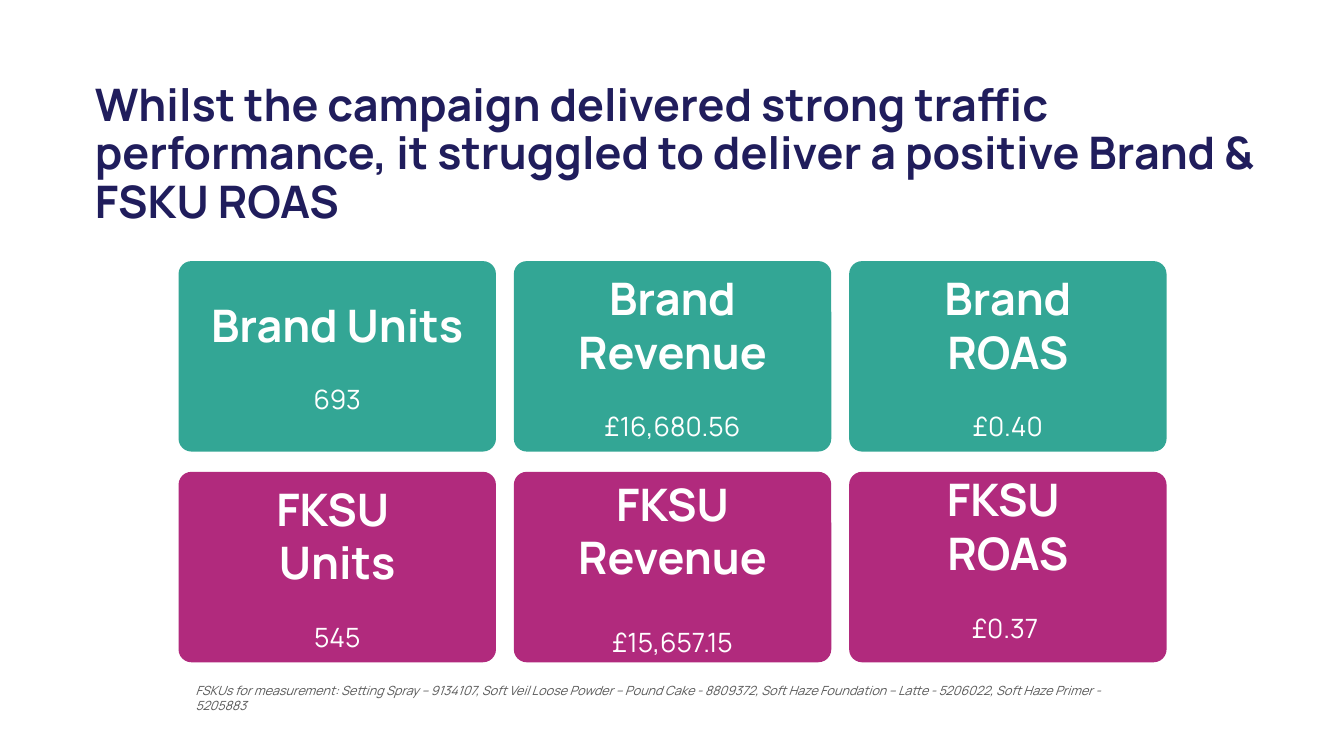
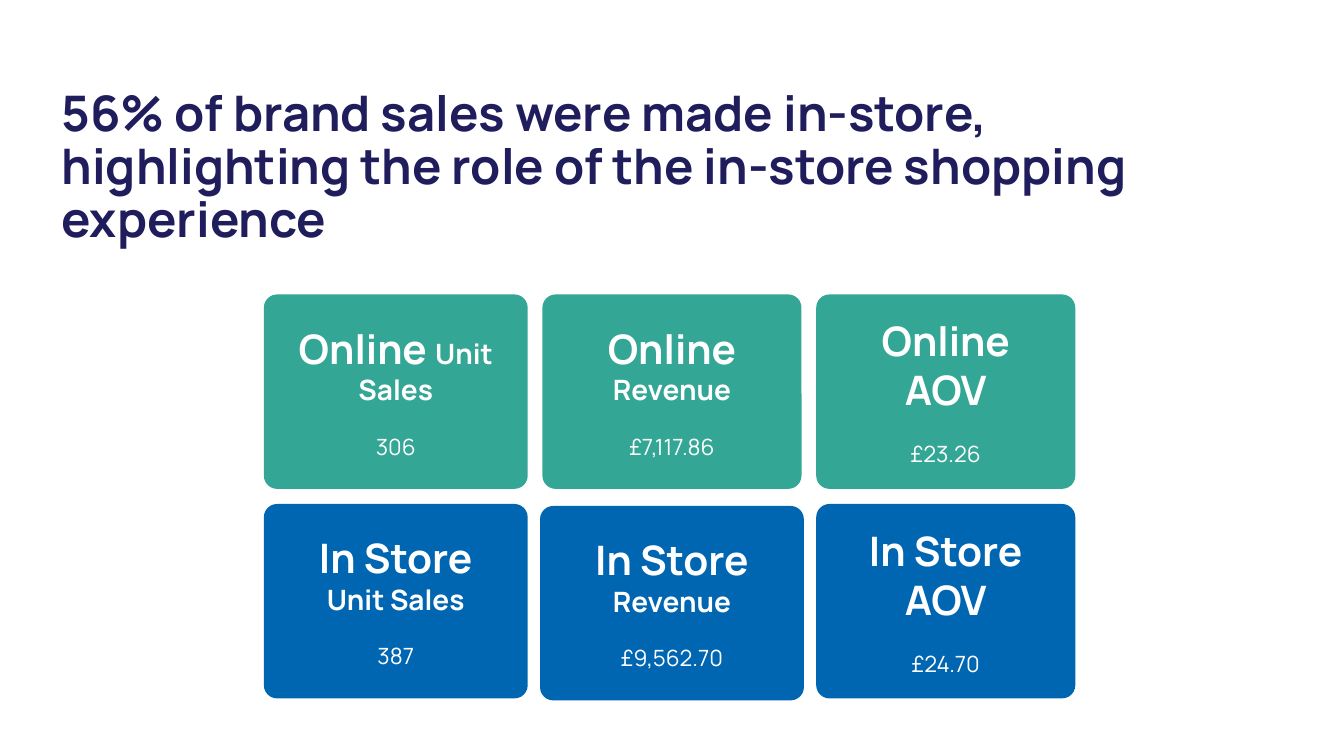
from dataclasses import dataclass

from pptx import Presentation
from pptx.dml.color import RGBColor
from pptx.enum.shapes import MSO_SHAPE
from pptx.enum.text import MSO_ANCHOR, PP_ALIGN
from pptx.util import Cm, Pt

# Shared style
FONT = "Manrope"
NAVY = RGBColor(0x20, 0x1D, 0x5C)
TEAL = RGBColor(0x33, 0xA6, 0x95)
MAGENTA = RGBColor(0xB1, 0x2A, 0x7D)
BLUE = RGBColor(0x00, 0x66, 0xB2)
GREY = RGBColor(0x59, 0x59, 0x59)
WHITE = RGBColor(0xFF, 0xFF, 0xFF)
CORNER = 0.068
LINE_HEIGHT = 1.2


@dataclass(frozen=True)
class Span:
    text: str
    size: float


@dataclass(frozen=True)
class Card:
    heading: tuple[tuple[Span, ...], ...]  # paragraphs of spans
    value: str
    extra_gap: float = 0  # points above the value
    extra_bottom: float = 0  # cm of bottom inset
    widen: float = 0  # cm, shared by both sides
    lower: float = 0  # cm


@dataclass(frozen=True)
class Grid:
    left: float
    top: float
    widths: tuple[float, ...]
    height: float
    column_gap: float
    row_gap: float
    value_size: float


@dataclass(frozen=True)
class Title:
    text: str
    size: float
    left: float
    top: float
    width: float
    height: float


def add_span(para, text: str, size: float, color: RGBColor,
             bold: bool = False, italic: bool = False) -> None:
    span = para.add_run()
    span.text = text
    font = span.font
    font.name, font.size, font.bold, font.italic = FONT, Pt(size), bold, italic
    font.color.rgb = color


def set_insets(frame, side: float, top: float, bottom: float) -> None:
    frame.word_wrap = True
    frame.margin_left = frame.margin_right = Cm(side)
    frame.margin_top, frame.margin_bottom = Cm(top), Cm(bottom)


def add_title(page, title: Title) -> None:
    box = page.shapes.add_textbox(Cm(title.left), Cm(title.top),
                                  Cm(title.width), Cm(title.height))
    set_insets(box.text_frame, 0, 0, 0)
    para = box.text_frame.paragraphs[0]
    para.line_spacing = 0.9
    add_span(para, title.text, title.size, NAVY, bold=True)


def add_card(page, card: Card, left: float, top: float, width: float,
             height: float, fill: RGBColor, value_size: float) -> None:
    box = page.shapes.add_shape(
        MSO_SHAPE.ROUNDED_RECTANGLE, Cm(left - card.widen / 2),
        Cm(top + card.lower), Cm(width + card.widen), Cm(height))
    box.adjustments[0] = CORNER
    box.shadow.inherit = False
    box.fill.solid()
    box.fill.fore_color.rgb = fill
    box.line.fill.background()
    frame = box.text_frame
    set_insets(frame, 0.69, 0.33, 0.33 + card.extra_bottom)
    frame.vertical_anchor = MSO_ANCHOR.MIDDLE

    # Heading, then the figure one line below
    for index, spans in enumerate(card.heading):
        para = frame.add_paragraph() if index else frame.paragraphs[0]
        para.alignment = PP_ALIGN.CENTER
        for span in spans:
            add_span(para, span.text, span.size, WHITE, bold=True)
    para = frame.add_paragraph()
    para.alignment = PP_ALIGN.CENTER
    para.space_before = Pt(round(value_size * LINE_HEIGHT + card.extra_gap))
    add_span(para, card.value, value_size, WHITE)


def add_grid(page, grid: Grid,
             rows: tuple[tuple[RGBColor, tuple[Card, ...]], ...]) -> None:
    for row, (fill, cards) in enumerate(rows):
        top = grid.top + row * (grid.height + grid.row_gap)
        left = grid.left
        for card, width in zip(cards, grid.widths):
            add_card(page, card, left, top, width, grid.height, fill,
                     grid.value_size)
            left += width + grid.column_gap


def add_footnote(page, text: str) -> None:
    box = page.shapes.add_textbox(Cm(4.6), Cm(16.87), Cm(24.64), Cm(1.22))
    set_insets(box.text_frame, 0.33, 0.33, 0.33)
    add_span(box.text_frame.paragraphs[0], text, 9, GREY, italic=True)


def large(*lines: str) -> tuple[tuple[Span, ...], ...]:
    return tuple((Span(line, 32),) for line in lines)


def channel(name: str, measure: str) -> tuple[tuple[Span, ...], ...]:
    return ((Span(name + " ", 29), Span(measure, 20)),)


def average(name: str) -> tuple[tuple[Span, ...], ...]:
    return ((Span(name + " AOV", 29),),)


# Slide contents
ROAS_TITLE = Title(
    "Whilst the campaign delivered strong traffic performance, it struggled "
    "to deliver a positive Brand & FSKU ROAS", 32, 2.39, 2.08, 30.12, 3.68)
ROAS_GRID = Grid(4.5, 6.58, (8, 8, 8), 4.8, 0.45, 0.51, 19)
ROAS_ROWS = (
    (TEAL, (Card(large("Brand Units"), "693"),
            Card(large("Brand Revenue"), "£16,680.56"),
            Card(large("Brand ROAS"), "£0.40"))),
    (MAGENTA, (Card(large("FKSU ", "Units"), "545"),
               Card(large("FKSU Revenue"), "£15,657.15", extra_gap=7),
               Card(large("FKSU ", "ROAS"), "£0.37 ", extra_bottom=0.46))),
)
FOOTNOTE = (
    "FSKUs for measurement: Setting Spray – 9134107, Soft Veil Loose Powder – "
    "Pound Cake - 8809372, Soft Haze Foundation – Latte - 5206022, "
    "Soft Haze Primer - 5205883")

STORE_TITLE = Title(
    "56% of brand sales were made in-store, highlighting the role of the "
    "in-store shopping experience", 35, 1.55, 2.24, 29.54, 4.04)
STORE_GRID = Grid(6.65, 7.42, (6.65, 6.53, 6.53), 4.9, 0.37, 0.38, 16)
STORE_ROWS = (
    (TEAL, (Card(channel("Online", "Unit Sales"), "306"),
            Card(channel("Online", "Revenue"), "£7,117.86"),
            Card(average("Online"), "£23.26"))),
    (BLUE, (Card(channel("In Store", "Unit Sales"), "387"),
            Card(channel("In Store", "Revenue"), "£9,562.70",
                 widen=0.12, lower=0.05),
            Card(average("In Store"), "£24.70"))),
)


def main() -> None:
    deck = Presentation()
    deck.slide_width, deck.slide_height = Cm(33.87), Cm(19.05)
    blank = deck.slide_layouts[6]

    # Return on ad spend
    page = deck.slides.add_slide(blank)
    add_title(page, ROAS_TITLE)
    add_grid(page, ROAS_GRID, ROAS_ROWS)
    add_footnote(page, FOOTNOTE)

    # Online against in-store sales
    page = deck.slides.add_slide(blank)
    add_title(page, STORE_TITLE)
    add_grid(page, STORE_GRID, STORE_ROWS)

    deck.save("out.pptx")


if __name__ == "__main__":
    main()
